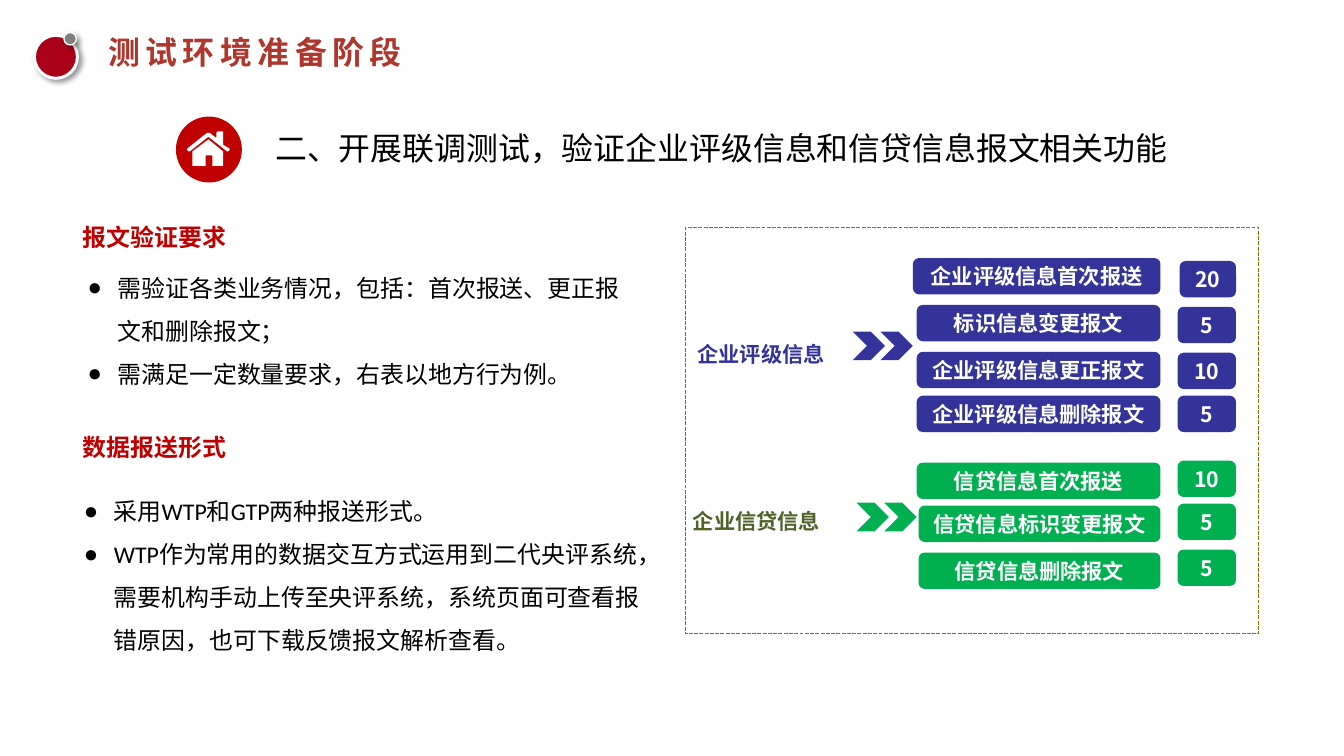
"""Build the slide on the joint testing phase and its message quotas."""
from lxml import etree
from pptx import Presentation
from pptx.dml.color import RGBColor
from pptx.enum.dml import MSO_LINE
from pptx.enum.shapes import MSO_SHAPE
from pptx.enum.text import MSO_ANCHOR, PP_ALIGN
from pptx.oxml.ns import qn
from pptx.util import Pt

OVAL, RECT = MSO_SHAPE.OVAL, MSO_SHAPE.RECTANGLE
ROUNDED, CHEVRON = MSO_SHAPE.ROUNDED_RECTANGLE, MSO_SHAPE.CHEVRON
LEFT, CENTER, JUSTIFY = PP_ALIGN.LEFT, PP_ALIGN.CENTER, PP_ALIGN.JUSTIFY
TOP, MIDDLE = MSO_ANCHOR.TOP, MSO_ANCHOR.MIDDLE
SYS_DASH = MSO_LINE.SQUARE_DOT


class Theme:
    title, heading, dot = "AF362C", "C00000", "AB0019"
    gray, white, black = "808080", "FFFFFF", "000000"
    indigo, green, olive, frame = "333399", "00B050", "4F6228", "996600"
    cjk, latin, label = "Noto Sans CJK SC", "Calibri", "Arial"
    big, body, small = 24, 18, 16


def add_shape(kind, box, fill=None, line=None, width=1):
    sp = s.shapes.add_shape(kind, *(Pt(v) for v in box))
    sp.shadow.inherit = False
    if fill:
        sp.fill.solid()
        sp.fill.fore_color.rgb = RGBColor.from_string(fill)
    else:
        sp.fill.background()
    if line:
        sp.line.color.rgb = RGBColor.from_string(line)
        sp.line.width = Pt(width)
    else:
        sp.line.fill.background()
    return sp


def write(p, text, size, color, font, bold=False, align=LEFT, spacing=1.0):
    p.alignment, p.line_spacing = align, spacing
    r = p.add_run()
    r.text = text
    r.font.size, r.font.bold, r.font.name = Pt(size), bold, font
    r.font.color.rgb = RGBColor.from_string(color)
    etree.SubElement(r.font._element, qn("a:ea"), typeface=Theme.cjk)
    return r


prs = Presentation()
prs.slide_width, prs.slide_height = Pt(1012.32), Pt(569.52)
s = prs.slides.add_slide(prs.slide_layouts[5])

title = s.shapes.title
title.left, title.top, title.width, title.height = Pt(81.4), Pt(24.5), Pt(550), Pt(28.8)
tf = title.text_frame
tf.margin_left = tf.margin_top = tf.margin_right = tf.margin_bottom = 0
tf.vertical_anchor, tf.word_wrap = TOP, True
r = write(tf.paragraphs[0], "测试环境准备阶段", Theme.big, Theme.title, Theme.cjk, True)
r.font._element.set("spc", "420")

for box, fill, width in [((25.9, 26.6, 32.4, 32.4), Theme.dot, 2.25),
                         ((48.2, 24.5, 9.4, 9.4), Theme.gray, 1)]:
    sp = add_shape(OVAL, box, fill, Theme.white, width)
    effects = sp._element.spPr.find(qn("a:effectLst"))
    shadow = etree.SubElement(effects, qn("a:outerShdw"), blurRad=str(Pt(4)),
                              dist=str(Pt(3)), dir="2700000", algn="tl", rotWithShape="0")
    color = etree.SubElement(shadow, qn("a:srgbClr"), val=Theme.black)
    etree.SubElement(color, qn("a:alpha"), val="40000")

add_shape(OVAL, (132.5, 87.8, 49.7, 49.7), Theme.heading)
roof = [(172, 114.5), (170.8, 114.5), (157, 103), (143.2, 114.5), (142.3, 114.5),
        (141.1, 113), (141.1, 112.3), (155.5, 100.2), (157, 99.6), (158.4, 100.2),
        (163.4, 104.4), (163.4, 99.8), (164, 99.4), (167.8, 99.4), (168.5, 99.8),
        (168.5, 108.7), (172.8, 112.3), (172.8, 113)]
walls = [(168.5, 124.6), (167.8, 125.3), (159.8, 125.3), (159.8, 117.4), (154.8, 117.4),
         (154.8, 125.3), (146.9, 125.3), (145.4, 124.6), (145.4, 114.5), (157, 104.6),
         (168.5, 114.5)]
house = s.shapes.build_freeform(*roof[0], scale=Pt(1))
house.add_line_segments(roof[1:])
house.move_to(*walls[0])
house.add_line_segments(walls[1:])
sp = house.convert_to_shape()
sp.shadow.inherit = False
sp.fill.solid()
sp.fill.fore_color.rgb = RGBColor.from_string(Theme.white)
sp.line.fill.background()

frame = add_shape(RECT, (516.2, 171.4, 432, 306), line=Theme.frame)
frame.line.dash_style = SYS_DASH

subtitle = ["二、开展联调测试，验证企业评级信息和信贷信息报文相关功能"]
requirements = ["需验证各类业务情况，包括：首次报送、更正报文和删除报文；",
                "需满足一定数量要求，右表以地方行为例。"]
formats = ["采用WTP和GTP两种报送形式。",
           "WTP作为常用的数据交互方式运用到二代央评系统，需要机构手动上传至央评系统，"
           "系统页面可查看报错原因，也可下载反馈报文解析查看。"]
subtitle_style = (Theme.big, Theme.black, Theme.latin, False, JUSTIFY, 1.2)
heading_style = (Theme.body, Theme.heading, Theme.cjk, True, LEFT, 1.5)
bullet_style = (Theme.body, Theme.black, Theme.latin, False, LEFT, 1.5)
rating_style = (Theme.small, Theme.indigo, Theme.label, True, LEFT, 1.5)
credit_style = (Theme.small, Theme.olive, Theme.label, True, LEFT, 1.5)

for box, lines, style in [
    ((200.2, 87.8, 720, 46.8), subtitle, subtitle_style),
    ((55.4, 153.4, 300, 41), ["报文验证要求"], heading_style),
    ((59, 191.5, 429.8, 101.5), requirements, bullet_style),
    ((55.4, 311.8, 125.3, 39.6), ["数据报送形式"], heading_style),
    ((56.2, 360, 439.2, 134.6), formats, bullet_style),
    ((518.4, 244.1, 123.8, 36), ["企业评级信息"], rating_style),
    ((514.8, 370.1, 115.9, 36), ["企业信贷信息"], credit_style),
]:
    tf = s.shapes.add_textbox(*(Pt(v) for v in box)).text_frame
    tf.word_wrap = True
    for i, line in enumerate(lines):
        p = tf.add_paragraph() if i else tf.paragraphs[0]
        if style is bullet_style:
            pPr = p._p.get_or_add_pPr()
            pPr.set("marL", str(Pt(22.5)))
            pPr.set("indent", str(Pt(-22.5)))
            etree.SubElement(pPr, qn("a:buFont"), typeface=Theme.label)
            etree.SubElement(pPr, qn("a:buChar"), char="●")
        write(p, line, *style)

label_right, count_right, bar_height = 874.1, 931, 27.4
rating_rows = [("企业评级信息首次报送", 687.6, 194.4, "20", 888.5, 196.6),
               ("标识信息变更报文", 690.5, 229.7, "5", 887, 231.1),
               ("企业评级信息更正报文", 690.5, 265, "10", 887, 265.7),
               ("企业评级信息删除报文", 690.5, 298.1, "5", 887, 298.1)]
credit_rows = [("信贷信息首次报送", 690.5, 348.5, "10", 887, 347),
               ("信贷信息标识变更报文", 691.9, 380.9, "5", 887, 379.4),
               ("信贷信息删除报文", 691.9, 416.2, "5", 887, 414)]

for fill, arrow_left, arrow_top, rows in [(Theme.indigo, 642.2, 249.8, rating_rows),
                                          (Theme.green, 645.1, 378.7, credit_rows)]:
    for i in range(2):
        add_shape(CHEVRON, (arrow_left + 20.9 * i, arrow_top, 24.5, 21.6), fill)
    for label, label_left, label_top, count, count_left, count_top in rows:
        for text, left, top, right in [(label, label_left, label_top, label_right),
                                       (count, count_left, count_top, count_right)]:
            sp = add_shape(ROUNDED, (left, top, right - left, bar_height), fill)
            tf = sp.text_frame
            tf.vertical_anchor, tf.word_wrap = MIDDLE, True
            write(tf.paragraphs[0], text, Theme.small, Theme.white, Theme.cjk, True, CENTER)

prs.save("out.pptx")
